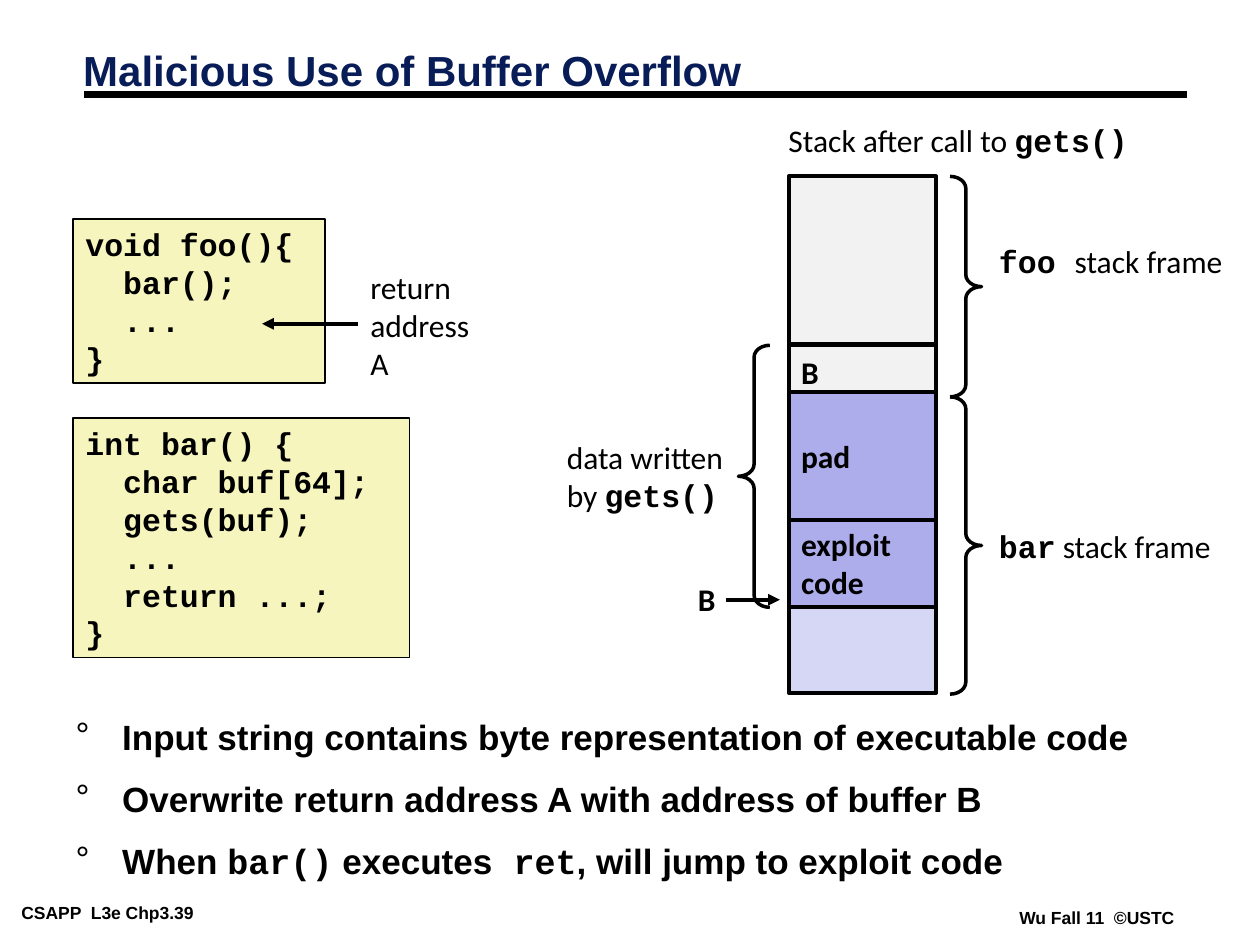
"""Build the slide on malicious use of buffer overflow."""
from lxml import etree
from pptx import Presentation, util as u
from pptx.dml.color import RGBColor
from pptx.enum import shapes as sh, text as tx
from pptx.oxml.ns import qn

THEME = {
    "ink": "000000", "title": "081D58", "code": "F6F5BD",
    "caller": "F2F2F2", "data": "ADADEB", "free": "D6D6F5",
    "head": "Arial", "text": "Calibri", "mono": "Courier New",
    "big": 24, "list": 20, "size": 18, "small": 10,
}
TITLE = "Malicious Use of Buffer Overflow"
POINTS = [
    [("Input string contains byte representation of executable code", "head", True)],
    [("Overwrite return address A with address of buffer B", "head", True)],
    [("When ", "head", True), ("bar()", "mono", True), (" executes", "head", True),
     (" ret", "mono", True), (", will jump to exploit code", "head", True)],
]
CODE = [
    ((0.58, 3.32, 2.67, 1.9),
     ["int bar() {", "  char buf[64];", "  gets(buf);", "  ...", "  return ...;", "}"]),
    ((0.58, 1.74, 2, 1.3), ["void foo(){", "  bar();", "  ...", "}"]),
]
STACK_X, STACK_W = 6.26, 1.17
STACK = [
    (2.74, 0.42, "caller", ["B"]),
    (1.4, 1.33, "caller", []),
    (4.82, 0.68, "free", []),
    (4.12, 0.7, "data", ["exploit", "code"]),
    (3.11, 1.02, "data", ["pad"]),
]
LABELS = [
    ((6.16, 0.91, 2.9, 0.4),
     [[("Stack after call to ", "text", False), ("gets()", "mono", True)]]),
    ((2.84, 2.08, 0.99, 1),
     [[(word, "text", False)] for word in ("return", "address", "A")]),
    ((7.83, 1.87, 1.98, 0.4),
     [[("foo ", "mono", True), ("stack frame", "text", False)]]),
    ((7.83, 4.13, 1.89, 0.4),
     [[("bar", "mono", True), (" stack frame", "text", False)]]),
    ((5.44, 4.55, 0.34, 0.4), [[("B", "text", True)]]),
    ((4.4, 3.43, 1.5, 0.7),
     [[("data written", "text", False)],
      [("by ", "text", False), ("gets()", "mono", True)]]),
]
FOOT = [
    ((0.1, 7.13, 2.02, 0.22), "CSAPP  L3e Chp3.39"),
    ((8.02, 7.17, 1.38, 0.22), "Wu Fall 11  ©USTC"),
]
ARROWS = [(2.84, 2.57, 2.08, 2.57), (5.76, 4.76, 6.19, 4.76)]
BRACES = [
    ("RIGHT_BRACE", (7.54, 1.4, 0.25, 1.75)),
    ("RIGHT_BRACE", (7.54, 3.15, 0.25, 2.36)),
    ("LEFT_BRACE", (5.86, 2.74, 0.25, 2.08)),
]


def inches(vals):
    return [u.Inches(v) for v in vals]


def color(key):
    return RGBColor.from_string(THEME[key])


def style(font, face, bold, size, ink="ink"):
    font.name, font.bold, font.size = THEME[face], bold, u.Pt(THEME[size])
    font.color.rgb = color(ink)


def fill(shape, paras, size="size", ink="ink", anchor="MIDDLE", pad=(0.1, 0.05), wrap=True):
    frame = shape.text_frame
    frame.word_wrap, frame.auto_size = wrap, tx.MSO_AUTO_SIZE.NONE
    frame.vertical_anchor = tx.MSO_ANCHOR[anchor]
    frame.margin_left = frame.margin_right = u.Inches(pad[0])
    frame.margin_top = frame.margin_bottom = u.Inches(pad[1])
    for num, runs in enumerate(paras):
        para = frame.add_paragraph() if num else frame.paragraphs[0]
        para.alignment = tx.PP_ALIGN.LEFT
        for word, face, bold in runs:
            run = para.add_run()
            run.text = word
            if len(runs) > 1:
                style(run.font, face, bold, size, ink)
        if len(runs) == 1:
            style(para.font, *runs[0][1:], size, ink)
    return frame.paragraphs


def place(shape, box):
    shape.left, shape.top, shape.width, shape.height = inches(box)


def label(slide, box, paras, **opts):
    fill(slide.shapes.add_textbox(*inches(box)), paras, wrap=False, **opts)


def block(slide, kind, box, tint=None, width=2.25):
    shape = slide.shapes.add_shape(sh.MSO_SHAPE[kind], *inches(box))
    shape.shadow.inherit = False
    if tint:
        shape.fill.solid()
        shape.fill.fore_color.rgb = color(tint)
    else:
        shape.fill.background()
    shape.line.color.rgb, shape.line.width = color("ink"), u.Pt(width)
    return shape


def line(slide, ends, width, head=False):
    rule = slide.shapes.add_connector(sh.MSO_CONNECTOR.STRAIGHT, *inches(ends))
    rule.line.color.rgb, rule.line.width = color("ink"), u.Pt(width)
    if head:
        etree.SubElement(rule.line._get_or_add_ln(), qn("a:tailEnd"), type="triangle")
    etree.SubElement(rule._element.spPr, qn("a:effectLst"))


def bullet(para, first):
    prop = para._p.get_or_add_pPr()
    prop.set("marL", str(u.Inches(0.37)))
    prop.set("indent", str(u.Inches(-0.37)))
    mark = etree.Element(qn("a:buChar"), char="°")
    fonts = prop.find(qn("a:defRPr"))
    if fonts is None:
        prop.append(mark)
    else:
        fonts.addprevious(mark)
    para.line_spacing = 0.8
    para.space_before = u.Pt(0 if first else 16.2)


def main():
    deck = Presentation()
    deck.slide_width, deck.slide_height = inches((10, 7.5))
    slide = deck.slides.add_slide(deck.slide_layouts[1])
    title, body = slide.placeholders

    for box, word in FOOT:
        label(slide, box, [[(word, "head", True)]], size="small",
              anchor="TOP", pad=(0.07, 0.03))
    line(slide, (0.67, 0.75, 9.42, 0.75), 4.5)

    place(title, (0.56, 0.36, 9.08, 0.45))
    fill(title, [[(TITLE, "head", True)]], "big", "title")[0].line_spacing = 0.87
    place(body, (0.5, 5.64, 9.03, 1.45))
    for num, para in enumerate(fill(body, POINTS, "list")):
        bullet(para, num == 0)

    for box, rows in CODE:
        fill(block(slide, "RECTANGLE", box, "code", 1),
             [[(row, "mono", True)] for row in rows], anchor="TOP")
    for top, high, tint, words in STACK:
        cell = block(slide, "RECTANGLE", (STACK_X, top, STACK_W, high), tint)
        fill(cell, [[(word, "text", True)] for word in words])
    for box, paras in LABELS:
        label(slide, box, paras)
    for ends in ARROWS:
        line(slide, ends, 2.25, True)
    for kind, box in BRACES:
        block(slide, kind, box, width=2).adjustments[0] = 0.38

    deck.save("out.pptx")


if __name__ == "__main__":
    main()
